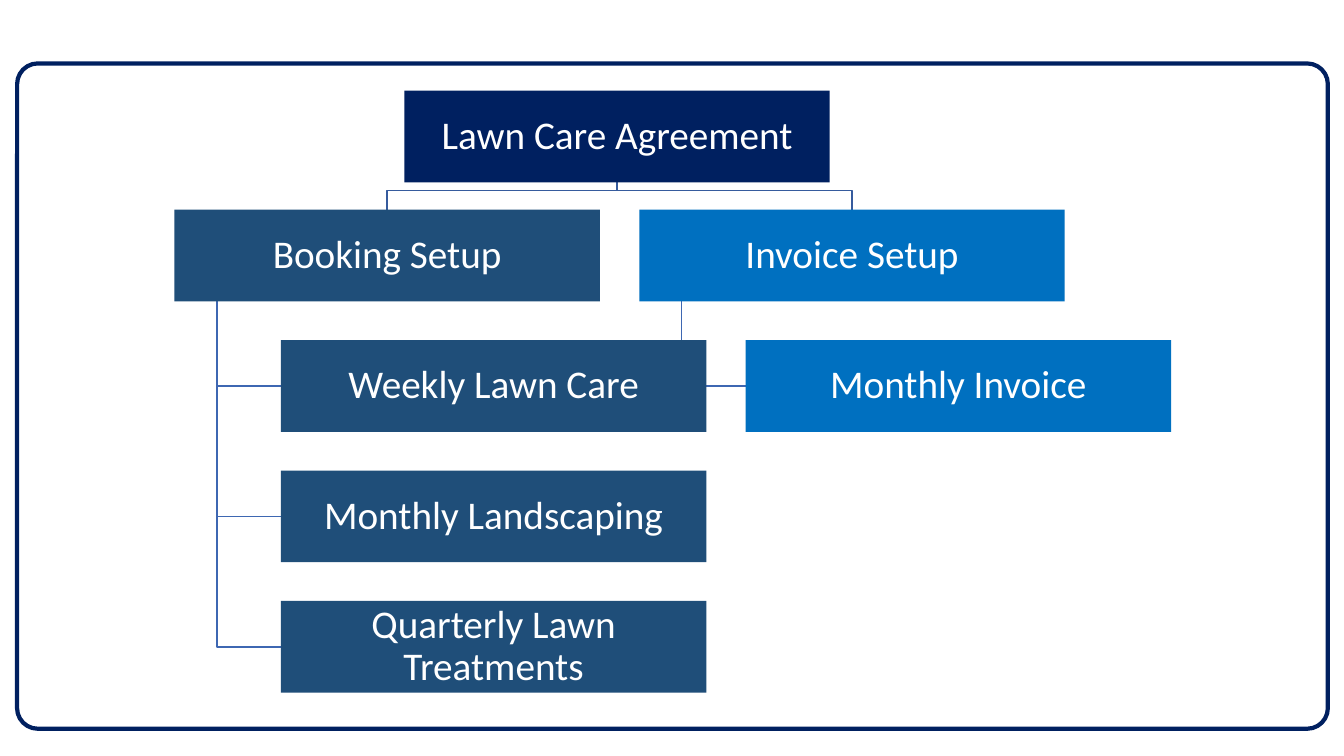
from dataclasses import dataclass

from pptx import Presentation
from pptx.dml.color import RGBColor
from pptx.enum.shapes import MSO_SHAPE as Shape
from pptx.enum.text import MSO_ANCHOR as Anchor, PP_ALIGN as Align
from pptx.util import Inches, Pt

NAVY = RGBColor(0x00, 0x20, 0x60)
SLATE = RGBColor(0x1F, 0x4E, 0x79)
BLUE = RGBColor(0x00, 0x70, 0xC0)
WHITE = RGBColor(0xFF, 0xFF, 0xFF)
TRUNK_LINE = RGBColor(0x36, 0x5B, 0x9D)
BRANCH_LINE = RGBColor(0x3E, 0x67, 0xB2)

# Grid, in inches
BOX_WIDTH, BOX_HEIGHT = 4.22, 0.91
ROOT_LEFT, ROOT_TOP = 4.01, 0.9
GRID_LEFT, GRID_TOP = 1.73, 2.08
COLUMN_STEP, ROW_STEP = 4.61, 1.294
INDENT = 1.055
TRUNK_INSET = BOX_WIDTH / 10
TRUNK_DROP = 0.08


@dataclass(frozen=True)
class Node:
    text: str
    left: float
    top: float
    fill: RGBColor

    @property
    def center(self) -> float:
        return self.left + BOX_WIDTH / 2

    @property
    def middle(self) -> float:
        return self.top + BOX_HEIGHT / 2

    @property
    def bottom(self) -> float:
        return self.top + BOX_HEIGHT


@dataclass(frozen=True)
class Branch:
    title: str
    items: tuple[str, ...]
    fill: RGBColor


ROOT = Node("Lawn Care Agreement", ROOT_LEFT, ROOT_TOP, NAVY)
BRANCHES = (
    Branch("Booking Setup",
           ("Weekly Lawn Care", "Monthly Landscaping", "Quarterly Lawn Treatments"),
           SLATE),
    Branch("Invoice Setup", ("Monthly Invoice",), BLUE),
)


def place_branch(branch: Branch, column: int) -> list[Node]:
    """Return the branch head followed by its indented items, one per row."""
    left = GRID_LEFT + column * COLUMN_STEP
    return [Node(text, left + (INDENT if row else 0), GRID_TOP + row * ROW_STEP,
                 branch.fill)
            for row, text in enumerate((branch.title, *branch.items))]


def draw_elbow(page, points: list[tuple[float, float]], color: RGBColor) -> None:
    start, *rest = [(Inches(x), Inches(y)) for x, y in points]
    builder = page.shapes.build_freeform(*start)
    builder.add_line_segments(rest, close=False)
    elbow = builder.convert_to_shape()
    elbow.shadow.inherit = False
    elbow.fill.background()
    elbow.line.color.rgb = color
    elbow.line.width = Pt(1)


def draw_links(page, head: Node, items: list[Node]) -> None:
    """Join the root to a branch head, and the head to its items."""
    turn = ROOT.bottom + TRUNK_DROP
    draw_elbow(page, [(ROOT.center, ROOT.bottom), (ROOT.center, turn),
                      (head.center, turn), (head.center, head.top)], TRUNK_LINE)
    trunk = head.left + TRUNK_INSET
    for item in items:
        draw_elbow(page, [(trunk, head.bottom), (trunk, item.middle),
                          (item.left, item.middle)], BRANCH_LINE)


def draw_node(page, node: Node) -> None:
    box = page.shapes.add_shape(Shape.RECTANGLE, Inches(node.left), Inches(node.top),
                                Inches(BOX_WIDTH), Inches(BOX_HEIGHT))
    box.shadow.inherit = False
    box.fill.solid()
    box.fill.fore_color.rgb = node.fill
    box.line.fill.background()
    frame = box.text_frame
    frame.word_wrap = True
    frame.vertical_anchor = Anchor.MIDDLE
    frame.margin_left = frame.margin_right = Inches(0.02)
    frame.margin_top = frame.margin_bottom = Inches(0.02)
    frame.text = node.text
    para = frame.paragraphs[0]
    para.alignment = Align.CENTER
    para.line_spacing = 0.9
    font = para.runs[0].font
    font.name, font.size = "Calibri", Pt(28)
    font.color.rgb = WHITE


def draw_panel(page) -> None:
    panel = page.shapes.add_shape(Shape.ROUNDED_RECTANGLE, Inches(0.17), Inches(0.63),
                                  Inches(13), Inches(6.6))
    panel.adjustments[0] = 0.031
    panel.shadow.inherit = False
    panel.fill.solid()
    panel.fill.fore_color.rgb = WHITE
    panel.line.color.rgb = NAVY
    panel.line.width = Pt(3)


def main() -> None:
    deck = Presentation()
    deck.slide_width, deck.slide_height = Inches(13.33), Inches(7.5)
    page = deck.slides.add_slide(deck.slide_layouts[6])
    draw_panel(page)
    groups = [place_branch(branch, column) for column, branch in enumerate(BRANCHES)]
    for head, *items in groups:
        draw_links(page, head, items)
    for node in (ROOT, *(node for group in groups for node in group)):
        draw_node(page, node)
    deck.save("out.pptx")


if __name__ == "__main__":
    main()
